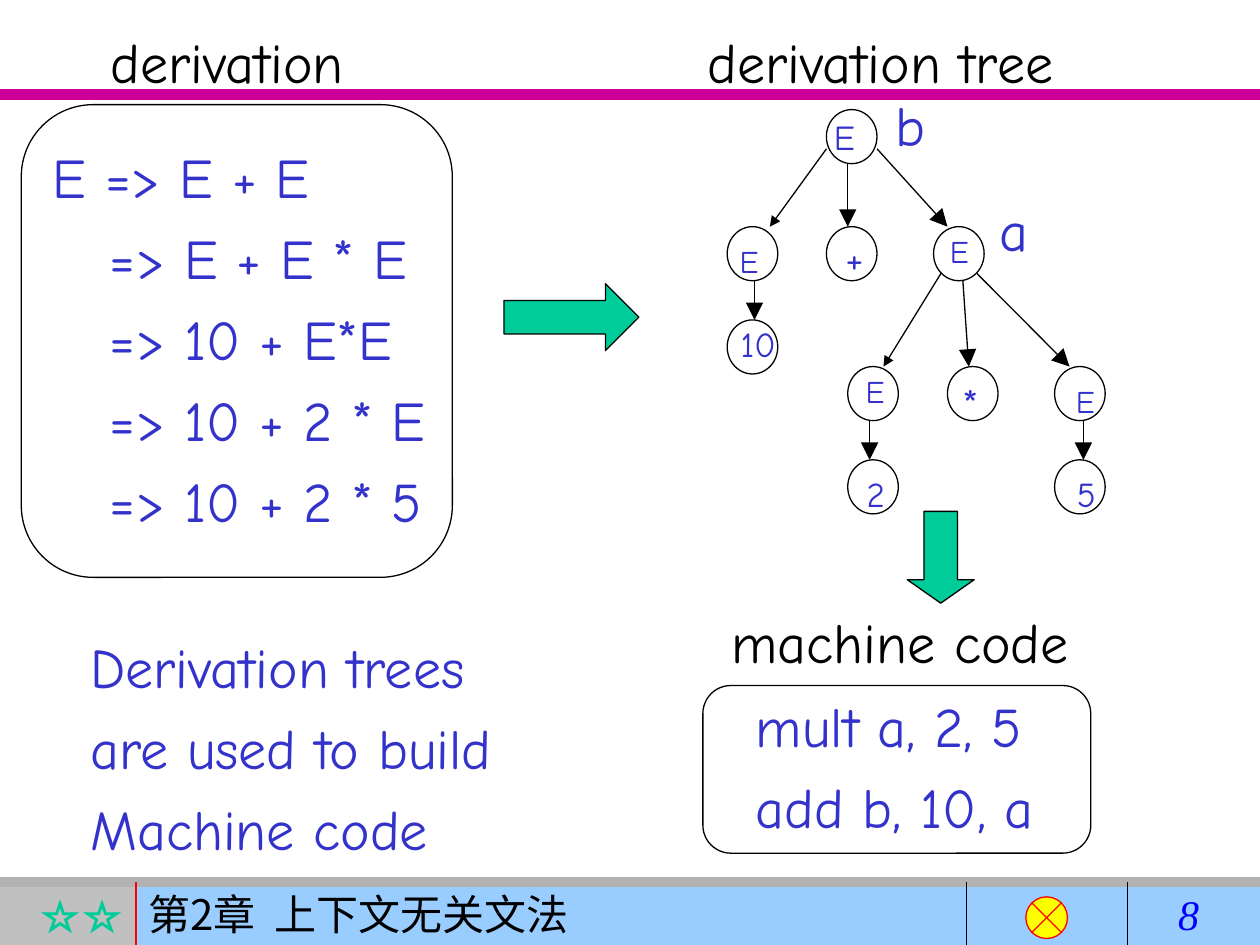
from lxml import etree
from pptx import Presentation
from pptx import util as u
from pptx.dml.color import RGBColor
from pptx.enum import shapes, text
from pptx.oxml.ns import qn

KIND = shapes.MSO_SHAPE
HAND, SERIF, HAN = "Comic Neue", "Times New Roman", "Noto Sans CJK SC"
BLACK, BLUE, GREEN, RED = "000000", "3333CC", "00CC99", "FF0000"
HAIRLINE = 0.74
BAR_TOP, BAR_HEIGHT, PAGE_WIDTH = 17.78, 1.27, 25.4
STEP_INDENT = 1.15
SLACK = 0.3

# left, top, width, size, colour, lines (lengths in cm)
CAPTIONS = [
    (1.98, 0.43, 5.23, 32, BLACK, ["derivation"]),
    (14.02, 0.43, 7.52, 32, BLACK, ["derivation tree"]),
    (14.5, 12.12, 7.32, 32, BLACK, ["machine code"]),
    (14.99, 13.82, 6.48, 32, BLUE, ["mult a, 2, 5", "add b, 10, a"]),
    (1.57, 12.62, 8.66, 32, BLUE,
     ["Derivation trees", "are used to build", "Machine code"]),
    (19.89, 3.81, 1.09, 32, BLUE, ["a"]),
    (17.81, 1.7, 1.12, 32, BLUE, ["b"]),
]
DERIVATION = ["E => E + E", "=> E + E * E", "=> 10 + E*E", "=> 10 + 2 * E", "=> 10 + 2 * 5"]

# node left, node top, label, label left, label top, label width, size
NODE_SIZE = (1.02, 1.09)
NODES = [
    (16.66, 2.21, "E", 16.56, 2.21, 0.94, 20),
    (14.66, 4.57, "E", 14.66, 4.75, 0.89, 18),
    (16.66, 4.57, "+", 16.79, 4.55, 0.89, 24),
    (18.82, 4.57, "E", 18.9, 4.55, 0.89, 18),
    (14.66, 6.45, "10", 14.68, 6.38, 1.22, 20),
    (17.09, 7.39, "E", 17.2, 7.37, 0.89, 18),
    (19.1, 7.39, "*", 19.15, 7.49, 0.84, 24),
    (21.26, 7.39, "E", 21.44, 7.57, 0.89, 18),
    (17.09, 9.27, "2", 17.22, 9.4, 0.86, 20),
    (21.26, 9.27, "5", 21.46, 9.4, 0.89, 20),
]
BRANCHES = [
    (16.66, 3, 15.52, 4.57), (17.09, 3.3, 17.09, 4.57), (17.68, 3, 19.1, 4.57),
    (15.21, 5.66, 15.21, 6.45),
    (18.97, 5.51, 17.81, 7.39), (19.41, 5.66, 19.53, 7.39), (19.69, 5.51, 21.56, 7.39),
    (17.53, 8.48, 17.53, 9.27), (21.84, 8.48, 21.84, 9.27),
]
# kind, place, fill, adjustments
FIGURES = [
    (KIND.ROUNDED_RECTANGLE, (0.43, 2.11, 8.69, 9.53), None, [0.167]),
    (KIND.ROUNDED_RECTANGLE, (14.17, 13.82, 7.82, 3.38), None, [0.167]),
    (KIND.RIGHT_ARROW, (10.16, 5.72, 2.72, 1.35), GREEN, [0.5, 0.5]),
    (KIND.DOWN_ARROW, (18.29, 10.31, 1.35, 1.85), GREEN, [0.5, 0.35]),
]
DIVIDERS = [(2.74, RED), (19.48, BLACK), (22.73, BLACK)]


def color(value):
    """Turn a hex string into a colour."""
    return RGBColor.from_string(value)


def add_figure(kind, place, fill=None, line=BLACK, adjustments=()):
    """Draw a preset shape; None leaves out its fill or line."""
    shape = page.shapes.add_shape(kind, *map(u.Cm, place))
    shape.shadow.inherit = False
    for index, value in enumerate(adjustments):
        shape.adjustments[index] = value
    if fill:
        shape.fill.solid()
        shape.fill.fore_color.rgb = color(fill)
    else:
        shape.fill.background()
    if line:
        shape.line.color.rgb = color(line)
        shape.line.width = u.Pt(HAIRLINE)
    else:
        shape.line.fill.background()
    return shape


def add_line(ends, stroke=BLACK, width=HAIRLINE, head=None):
    """Draw a straight line, with an arrowhead of the given size at its end."""
    line = page.shapes.add_connector(shapes.MSO_CONNECTOR.STRAIGHT, *map(u.Cm, ends))
    line.line.color.rgb = color(stroke)
    line.line.width = u.Pt(width)
    if head:
        etree.SubElement(line.line._get_or_add_ln(), qn("a:tailEnd"),
                         type="triangle", w=head, len=head)
    etree.SubElement(line._element.spPr, qn("a:effectLst"))


def write(shape, lines, size, ink, font=HAND, space=0):
    """Fill a shape with left-aligned lines and return its paragraphs."""
    frame = shape.text_frame
    frame.word_wrap = True
    frame.vertical_anchor = text.MSO_ANCHOR.TOP
    frame.text = "\n".join(lines)
    for para in frame.paragraphs:
        para.alignment = text.PP_ALIGN.LEFT
        para.space_before = u.Pt(space)
        para.font.size = u.Pt(size)
        para.font.name = font
        para.font.color.rgb = color(ink)
        etree.SubElement(para.font._element, qn("a:ea"), typeface=font)
    return frame.paragraphs


def add_text(left, top, width, size, ink, lines):
    """Add a text box as high as its lines, with slack so that none wraps."""
    space = size / 4
    points = len(lines) * 1.2 * size + (len(lines) - 1) * space
    height = points * 2.54 / 72 + 0.25
    box = page.shapes.add_textbox(*map(u.Cm, (left, top, width + SLACK, height)))
    return write(box, lines, size, ink, space=space)


def add_footer():
    """Draw the title rule and the bottom bar."""
    add_line((0, 1.91, PAGE_WIDTH, 1.91), "CC0099", 6)
    split = DIVIDERS[0][0]
    badge = add_figure(KIND.RECTANGLE, (0, BAR_TOP, split, BAR_HEIGHT), "C0C0C0", None)
    stars = write(badge, ["☆☆"], 24, GREEN, SERIF)[0]
    stars.alignment = text.PP_ALIGN.RIGHT
    stars.font.bold = True
    bar = add_figure(KIND.RECTANGLE, (split, BAR_TOP, PAGE_WIDTH - split, BAR_HEIGHT),
                     "99CCFF", None)
    write(bar, ["第2章  上下文无关文法"], 24, BLACK, HAN)
    add_line((0, BAR_TOP, PAGE_WIDTH, BAR_TOP), "B2B2B2", 6)
    for x, stroke in DIVIDERS:
        add_line((x, BAR_TOP, x, BAR_TOP + BAR_HEIGHT), stroke)
    add_figure(KIND.FLOWCHART_SUMMING_JUNCTION, (20.68, 18.08, 0.84, 0.84), "FFFF00", RED)
    number = page.shapes.add_textbox(*map(u.Cm, (23.5, BAR_TOP, 1.9, BAR_HEIGHT)))
    write(number, ["8"], 24, "0000FF", SERIF)[0].font.italic = True


deck = Presentation()
deck.slide_width, deck.slide_height = u.Cm(PAGE_WIDTH), u.Cm(19.05)
page = deck.slides.add_slide(deck.slide_layouts[6])

add_footer()
for kind, place, fill, adjustments in FIGURES:
    add_figure(kind, place, fill, adjustments=adjustments)
for left, top, *label in NODES:
    add_figure(KIND.OVAL, (left, top, *NODE_SIZE))
for branch in BRANCHES:
    leans_left = branch[2] < branch[0]
    add_line(branch, head="med" if leans_left else "lg")
for _, _, label, left, top, width, size in NODES:
    add_text(left, top, width, size, BLUE, [label])
for caption in CAPTIONS:
    add_text(*caption)
for step in add_text(0.81, 2.74, 8.3, 32, BLUE, DERIVATION)[1:]:
    properties = step._p.get_or_add_pPr()
    properties.set("marL", str(u.Cm(STEP_INDENT)))
    properties.set("indent", "0")

deck.save("out.pptx")
